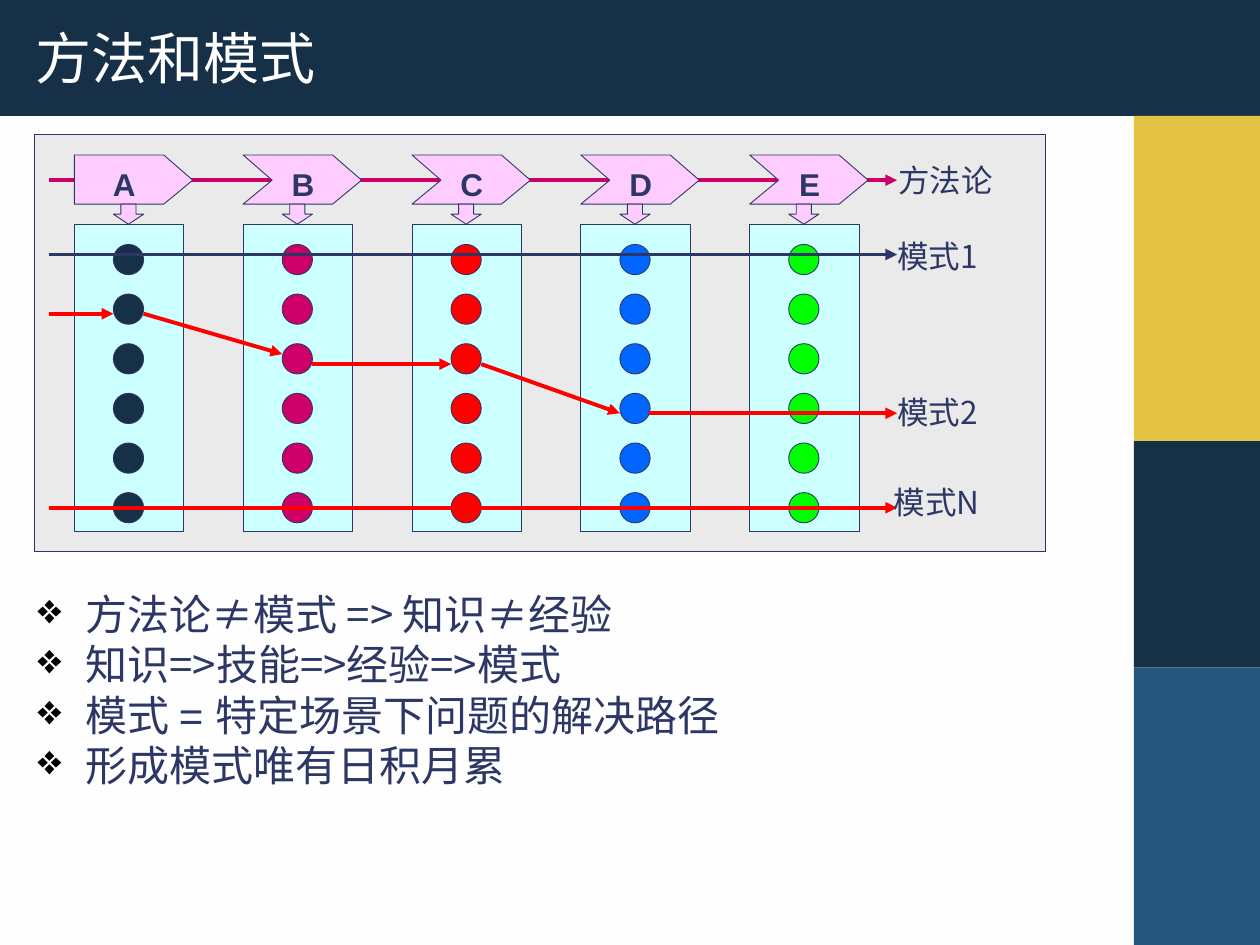
from pptx import Presentation
from pptx.dml.color import RGBColor
from pptx.enum.shapes import MSO_CONNECTOR, MSO_SHAPE
from pptx.enum.text import MSO_ANCHOR, PP_ALIGN
from pptx.oxml.ns import qn
from pptx.util import Inches, Pt
from lxml import etree

RECT, OVAL, DOWN = MSO_SHAPE.RECTANGLE, MSO_SHAPE.OVAL, MSO_SHAPE.DOWN_ARROW
STRAIGHT = MSO_CONNECTOR.STRAIGHT
MIDDLE, CENTER = MSO_ANCHOR.MIDDLE, PP_ALIGN.CENTER
ARIAL, NOTO = "Arial", "Noto Sans CJK SC"
NAVY, INK, PINK, CYAN = "153047", "2C3766", "FFCCFF", "CCFFFF"
ROSE, RED = "CC0066", "FF0000"

BANDS = [
    (0, 0, 10, 0.92, NAVY),
    (9, 3.5, 1, 1.8, NAVY),
    (9, 5.3, 1, 2.2, "25557B"),
    (9, 0.92, 1, 2.58, "E4C244"),
]
STEPS = [("A", NAVY), ("B", ROSE), ("C", RED), ("D", "0066FF"), ("E", "00FF00")]
LEFT, PITCH = 0.59, 1.34
DOTS, TOP, GAP, SIZE = 6, 1.94, 0.394, 0.24
START, END = 0.39, 7.12
METHOD = (START, 1.43, END, 1.43, ROSE)
ROUTES = [
    (START, 2.02, END, 2.02, INK),
    (START, 2.49, 0.9, 2.49, RED),
    (1.14, 2.49, 2.24, 2.81, RED),
    (2.48, 2.89, 3.58, 2.89, RED),
    (3.82, 2.89, 4.92, 3.28, RED),
    (5.15, 3.28, END, 3.28, RED),
    (START, 4.03, END, 4.03, RED),
]
LABELS = [
    ("模式1", 7.09, 1.88, 0.7),
    ("模式2", 7.09, 3.12, 0.7),
    ("模式N", 7.06, 3.83, 0.75),
    ("方法论", 7.13, 1.28, 0.75),
]
POINTS = [
    [("方法论", ARIAL), ("≠模式 => 知识≠经验", NOTO)],
    [("知识", ARIAL), ("=>技能=>经验=>模式", NOTO)],
    [("模式 = 特定场景下问题的解决路径", ARIAL)],
    [("形成模式唯有日积月累", ARIAL)],
]

prs = Presentation()
prs.slide_width, prs.slide_height = Inches(10), Inches(7.5)
slide = prs.slides.add_slide(prs.slide_layouts[6])
shapes = slide.shapes


def rgb(code):
    return RGBColor.from_string(code)


def paint(shape, fill, line=INK):
    shape.shadow.inherit = False
    shape.fill.solid()
    shape.fill.fore_color.rgb = rgb(fill)
    if line:
        shape.line.color.rgb = rgb(line)
        shape.line.width = Pt(0.5)
    else:
        shape.line.fill.background()


def draw(kind, x, y, w, h, fill, line=INK):
    paint(shapes.add_shape(kind, Inches(x), Inches(y), Inches(w), Inches(h)), fill, line)


def arrow(x1, y1, x2, y2, color):
    link = shapes.add_connector(STRAIGHT, Inches(x1), Inches(y1), Inches(x2), Inches(y2))
    link.line.color.rgb = rgb(color)
    link.line.width = Pt(2.25)
    etree.SubElement(link.line._get_or_add_ln(), qn("a:tailEnd"), type="triangle")
    etree.SubElement(link._element.spPr, qn("a:effectLst"))


def chevron(x, notch):
    y, mid, low = 1.23, 1.43, 1.62
    rest = [(x + 0.71, y), (x + 0.94, mid), (x + 0.71, low), (x, low)]
    if notch:
        rest.append((x + 0.23, mid))
    form = shapes.build_freeform(Inches(x), Inches(y))
    form.add_line_segments([(Inches(a), Inches(b)) for a, b in rest], close=True)
    paint(form.convert_to_shape(), PINK)


def style(font, size, color, name, bold=False):
    font.size, font.bold, font.name = Pt(size), bold, name
    font.color.rgb = rgb(color)


def box(x, y, w, h, inset=True, wrap=True):
    frame = shapes.add_textbox(Inches(x), Inches(y), Inches(w), Inches(h)).text_frame
    frame.word_wrap = wrap
    if not inset:
        frame.margin_left = frame.margin_right = 0
        frame.margin_top = frame.margin_bottom = 0
    return frame


def label(text, x, y, w, name, bold=False, wrap=True):
    frame = box(x, y, w, 0.3, False, wrap)
    frame.text = text
    para = frame.paragraphs[0]
    para.alignment = CENTER
    style(para.runs[0].font, 18, INK, name, bold)


def bullet(para):
    props = para._p.get_or_add_pPr()
    props.set("marL", str(Inches(0.38)))
    props.set("indent", str(Inches(-0.38)))
    color = etree.SubElement(props, qn("a:buClr"))
    etree.SubElement(color, qn("a:srgbClr"), val="000000")
    etree.SubElement(props, qn("a:buChar"), char="❖")


back = slide.background.fill
back.gradient()
back.gradient_angle = 135
for stop, code in zip(back.gradient_stops, ("FEFEFE", "FFFFFF")):
    stop.color.rgb = rgb(code)

for *place, fill in BANDS:
    draw(RECT, *place, fill, None)
draw(RECT, 0.27, 1.07, 8.03, 3.31, "EAEAEA")
arrow(*METHOD)

title = box(0.18, 0.19, 7.75, 0.53)
title.text = "方法和模式"
title.vertical_anchor = MIDDLE
style(title.paragraphs[0].runs[0].font, 32, "FFFFFF", ARIAL)

for i, (name, color) in enumerate(STEPS):
    x = LEFT + i * PITCH
    chevron(x, i > 0)
    draw(RECT, x, 1.78, 0.87, 2.44, CYAN)
    for j in range(DOTS):
        draw(OVAL, x + 0.31, TOP + j * GAP, SIZE, SIZE, color)
    label(name, x + (0.08 if i else 0), 1.31, 0.79, ARIAL, True)
    draw(DOWN, x + 0.31, 1.62, SIZE, 0.16, PINK)

for route in ROUTES:
    arrow(*route)
for text, x, y, w in LABELS:
    label(text, x, y, w, NOTO, wrap=False)

body = box(0.2, 4.62, 8.69, 2.61)
for i, parts in enumerate(POINTS):
    para = body.add_paragraph() if i else body.paragraphs[0]
    bullet(para)
    for text, name in parts:
        run = para.add_run()
        run.text = text
        style(run.font, 24, INK, name)

prs.save("out.pptx")
